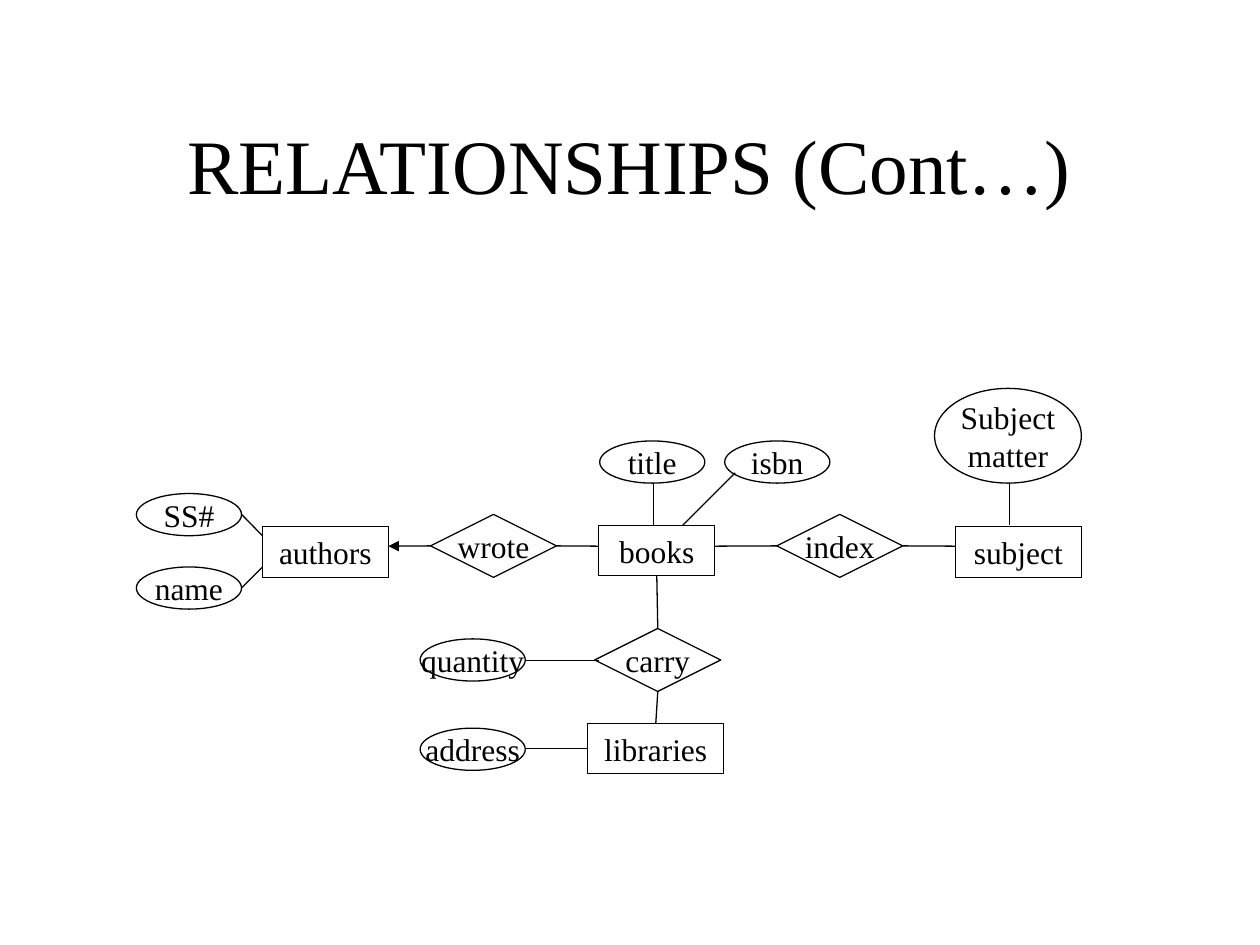
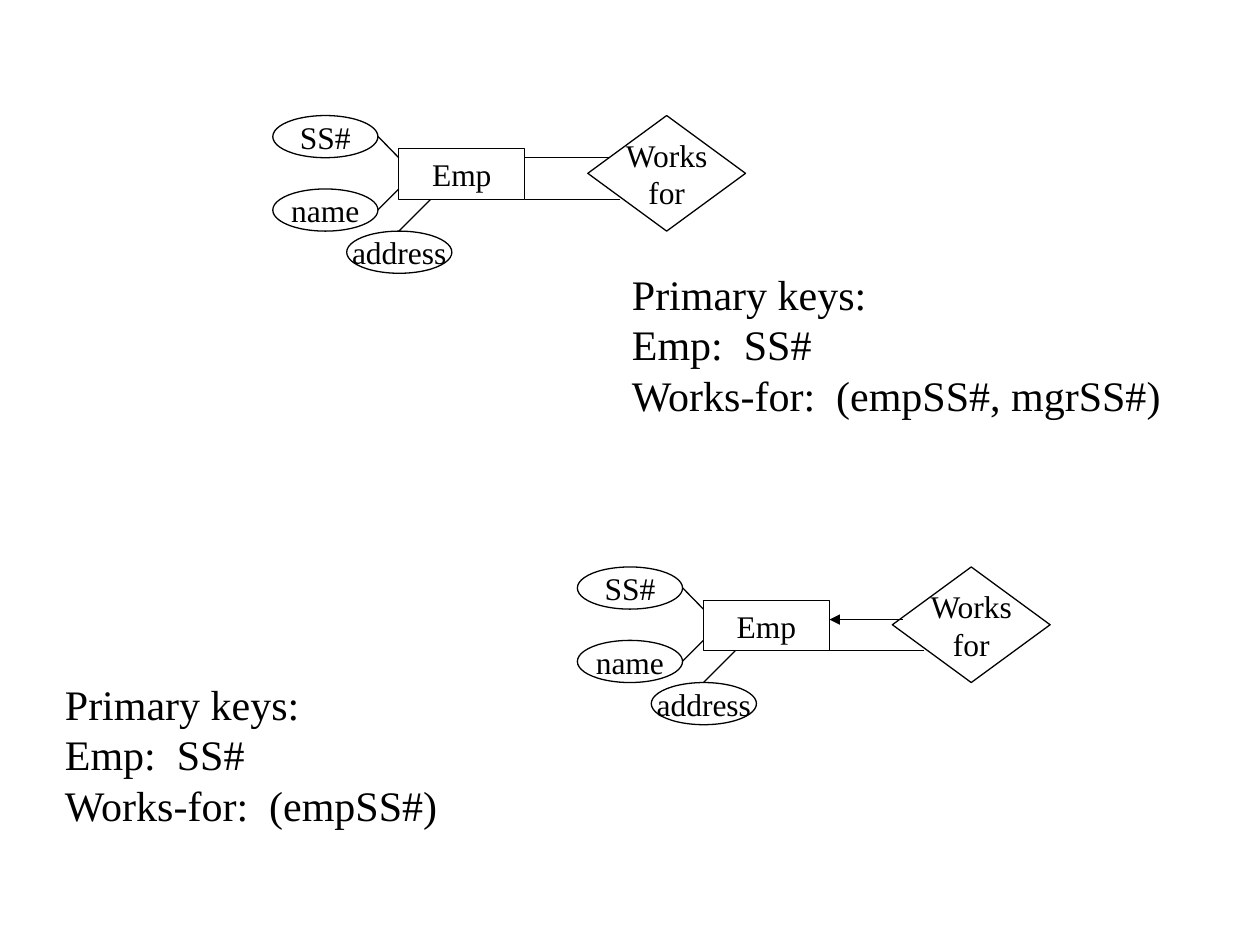
"""Build two entity-relationship diagram slides."""
import dataclasses
import typing

import lxml.etree
import pptx
import pptx.dml.color
import pptx.enum.shapes
import pptx.enum.text
import pptx.oxml.ns
import pptx.util

Cm = pptx.util.Cm
Pt = pptx.util.Pt
qn = pptx.oxml.ns.qn
SHAPE = pptx.enum.shapes.MSO_SHAPE
ALIGN = pptx.enum.text.PP_ALIGN
ANCHOR = pptx.enum.text.MSO_ANCHOR

COLORS = {"ink": "000000", "paper": "FFFFFF"}
FONT = "Times New Roman"
LINE_WIDTH = Pt(0.75)
JOIN_TOLERANCE = Cm(0.04)
SIZES = {
    SHAPE.RECTANGLE: (2.54, 1.02),
    SHAPE.DIAMOND: (2.54, 1.27),
    SHAPE.OVAL: (2.12, 0.85),
}


@dataclasses.dataclass
class Node:
    text: str
    kind: typing.Any
    x: float
    y: float
    w: float | None = None
    h: float | None = None


@dataclasses.dataclass
class Link:
    x1: float
    y1: float
    x2: float
    y2: float
    arrow: str | None = None


BOOK_NODES = [
    Node("carry", SHAPE.DIAMOND, 11.99, 12.67),
    Node("books", SHAPE.RECTANGLE, 12.07, 10.59, w=2.34),
    Node("index", SHAPE.DIAMOND, 15.66, 10.37),
    Node("wrote", SHAPE.DIAMOND, 8.68, 10.37),
    Node("subject", SHAPE.RECTANGLE, 19.26, 10.62),
    Node("authors", SHAPE.RECTANGLE, 5.29, 10.62),
    Node("SS#", SHAPE.OVAL, 2.75, 9.95),
    Node("name", SHAPE.OVAL, 2.75, 11.43),
    Node("title", SHAPE.OVAL, 12.09, 8.89),
    Node("libraries", SHAPE.RECTANGLE, 11.85, 14.58, w=2.74),
    Node("quantity", SHAPE.OVAL, 8.47, 12.88),
    Node("address", SHAPE.OVAL, 8.47, 14.68),
    Node("isbn", SHAPE.OVAL, 14.61, 8.89),
    Node("Subject\nmatter", SHAPE.OVAL, 18.84, 7.83, w=2.96, h=1.91),
]
BOOK_LINKS = [
    Link(4.87, 10.37, 5.29, 10.8),
    Link(5.29, 11.43, 4.87, 11.85),
    Link(7.83, 11.01, 8.68, 11.01, arrow="headEnd"),
    Link(11.22, 11.01, 12.07, 11.01),
    Link(13.18, 9.74, 13.18, 10.59),
    Link(14.41, 11.01, 15.66, 11.01),
    Link(18.2, 11.01, 19.26, 11.01),
    Link(13.23, 11.63, 13.23, 12.7),
    Link(13.26, 13.94, 13.26, 14.58),
    Link(12.07, 13.31, 10.59, 13.31),
    Link(10.59, 15.09, 11.85, 15.09),
    Link(13.76, 10.59, 14.82, 9.53),
    Link(20.35, 9.74, 20.35, 10.59),
]
EMP_NODES = [
    Node("Works\nfor", SHAPE.DIAMOND, 11.85, 2.33, w=3.18, h=2.33),
    Node("Emp", SHAPE.RECTANGLE, 8.04, 3),
    Node("SS#", SHAPE.OVAL, 5.5, 2.33),
    Node("name", SHAPE.OVAL, 5.5, 3.81),
    Node("address", SHAPE.OVAL, 6.99, 4.66),
]
EMP_LINKS = [
    Link(7.62, 2.75, 8.04, 3.18),
    Link(8.04, 3.81, 7.62, 4.23),
    Link(10.58, 4.02, 12.49, 4.02),
    Link(8.68, 4.02, 8.04, 4.66),
]
EMPLOYEE_LINK = Link(10.58, 3.18, 12.28, 3.18)
MANAGER_LINK = Link(12.06, 3.39, 10.58, 3.39, arrow="tailEnd")


def write_text(tf, text: str, *, size: float, align=ALIGN.LEFT,
               anchor=ANCHOR.TOP, wrap: bool = False) -> None:
    tf.auto_size = pptx.enum.text.MSO_AUTO_SIZE.NONE
    tf.word_wrap = wrap
    tf.vertical_anchor = anchor
    for i, line in enumerate(text.split("\n")):
        p = tf.add_paragraph() if i else tf.paragraphs[0]
        p.alignment = align
        r = p.add_run()
        r.text = line
        r.font.name = FONT
        r.font.size = Pt(size)
        r.font.color.rgb = pptx.dml.color.RGBColor.from_string(COLORS["ink"])


def set_outline(sp) -> None:
    sp.line.width = LINE_WIDTH
    sp.line.color.rgb = pptx.dml.color.RGBColor.from_string(COLORS["ink"])


def add_node(slide, node: Node, dx: float, dy: float):
    w, h = SIZES[node.kind]
    sp = slide.shapes.add_shape(node.kind, Cm(node.x + dx), Cm(node.y + dy),
                                Cm(node.w or w), Cm(node.h or h))
    sp.shadow.inherit = False
    sp.fill.background()
    set_outline(sp)
    write_text(sp.text_frame, node.text, size=18, align=ALIGN.CENTER,
               anchor=ANCHOR.MIDDLE)
    return sp


def join(connect: typing.Callable, x: int, y: int, shapes: list) -> None:
    for sp in shapes:
        mid_x, mid_y = sp.left + sp.width // 2, sp.top + sp.height // 2
        sites = [(mid_x, sp.top), (sp.left, mid_y),
                 (mid_x, sp.top + sp.height), (sp.left + sp.width, mid_y)]
        for i, (site_x, site_y) in enumerate(sites):
            if max(abs(site_x - x), abs(site_y - y)) <= JOIN_TOLERANCE:
                connect(sp, i)
                return


def add_link(slide, link: Link, shapes: list, dx: float, dy: float) -> None:
    x1, y1, x2, y2 = (Cm(link.x1 + dx), Cm(link.y1 + dy),
                      Cm(link.x2 + dx), Cm(link.y2 + dy))
    c = slide.shapes.add_connector(
        pptx.enum.shapes.MSO_CONNECTOR.STRAIGHT, x1, y1, x2, y2)
    set_outline(c)
    spPr = c._element.spPr
    if link.arrow:
        lxml.etree.SubElement(spPr.find(qn("a:ln")), qn("a:" + link.arrow),
                              type="triangle")
    lxml.etree.SubElement(spPr, qn("a:effectLst"))
    join(c.begin_connect, x1, y1, shapes)
    join(c.end_connect, x2, y2, shapes)


def draw_diagram(slide, nodes: list[Node], links: list[Link],
                 dx: float = 0, dy: float = 0) -> None:
    shapes = [add_node(slide, node, dx, dy) for node in nodes]
    joinable = [sp for sp in shapes if sp.auto_shape_type != SHAPE.OVAL]
    for link in links:
        add_link(slide, link, joinable, dx, dy)


def add_keys(slide, key: str, x: float, y: float, w: float) -> None:
    sp = slide.shapes.add_textbox(Cm(x), Cm(y), Cm(w), Cm(3.3))
    write_text(sp.text_frame,
               f"Primary keys:\nEmp:  SS#\nWorks-for:  ({key})", size=24)


def add_slide(prs, layout: int):
    slide = prs.slides.add_slide(prs.slide_layouts[layout])
    fill = slide.background.fill
    fill.solid()
    fill.fore_color.rgb = pptx.dml.color.RGBColor.from_string(COLORS["paper"])
    return slide


def build_books(prs) -> None:
    slide = add_slide(prs, 5)
    title = slide.shapes.title
    title.left, title.top = Cm(1.9), Cm(1.7)
    title.width, title.height = Cm(21.59), Cm(3.18)
    write_text(title.text_frame, "RELATIONSHIPS (Cont…)", size=44,
               align=ALIGN.CENTER, anchor=ANCHOR.MIDDLE, wrap=True)
    draw_diagram(slide, BOOK_NODES, BOOK_LINKS)


def build_employees(prs) -> None:
    slide = add_slide(prs, 6)
    draw_diagram(slide, EMP_NODES, EMP_LINKS + [MANAGER_LINK], dx=6.14, dy=9.1)
    draw_diagram(slide, EMP_NODES, EMP_LINKS + [EMPLOYEE_LINK])
    add_keys(slide, "empSS#, mgrSS#", 12.49, 5.29, 11.23)
    add_keys(slide, "empSS#", 1.06, 13.55, 8.08)


def main() -> None:
    prs = pptx.Presentation()
    prs.slide_width, prs.slide_height = Cm(25.4), Cm(19.05)
    build_books(prs)
    build_employees(prs)
    prs.save("out.pptx")


if __name__ == "__main__":
    main()
